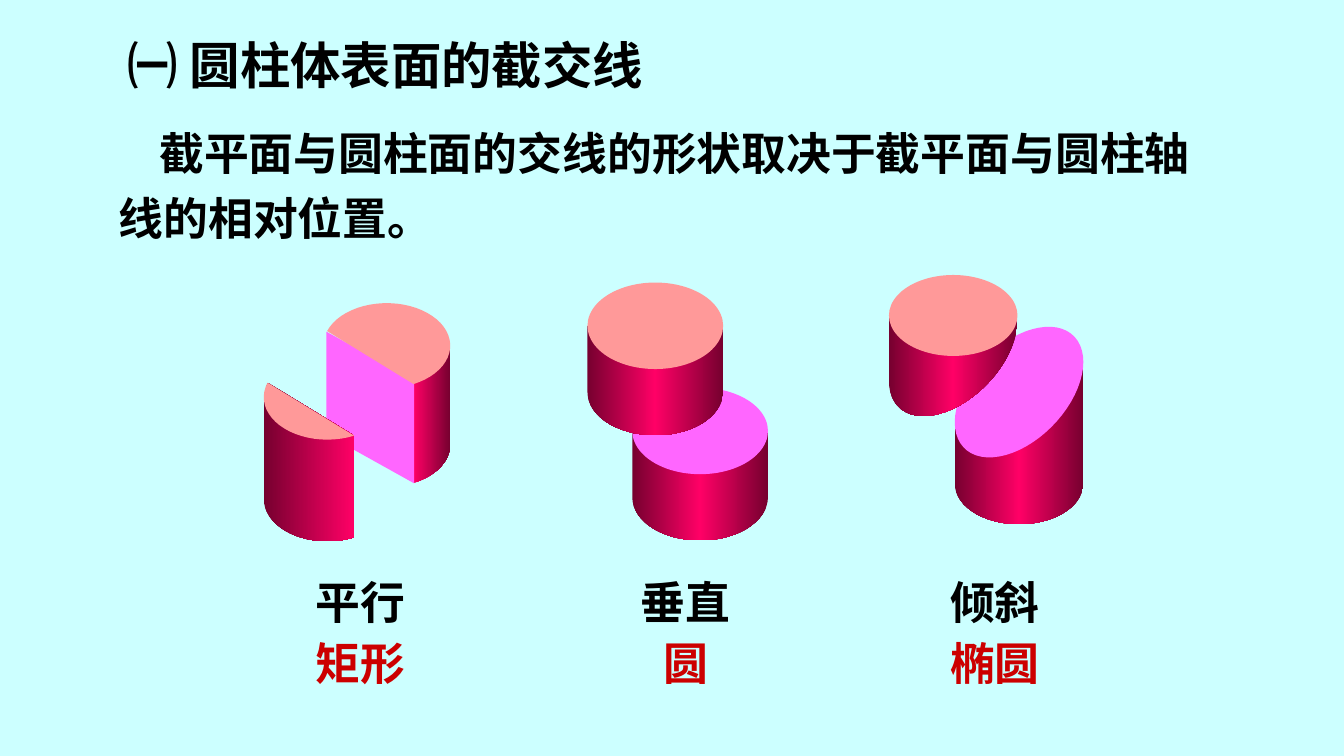
from math import cos, radians, sin
from lxml.etree import SubElement
from pptx import Presentation
from pptx.dml.color import RGBColor
from pptx.enum.shapes import MSO_SHAPE
from pptx.enum.text import MSO_ANCHOR, MSO_AUTO_SIZE, PP_ALIGN
from pptx.oxml.ns import qn
from pptx.util import Cm, Pt

FONT = "Noto Sans CJK SC"
BLACK, RED = "000000", "CC0000"
DARK, BRIGHT = "76002F", "FF0066"
TOP, CUT = "FF9999", "FF66FF"
ROUND = (DARK, BRIGHT, DARK)


def color(value):
    return RGBColor.from_string(value)


def place(sp, left, top, width, height):
    sp.left, sp.top, sp.width, sp.height = Cm(left), Cm(top), Cm(width), Cm(height)


def write(sp, text, size, hex_color, align=PP_ALIGN.LEFT, wrap=False):
    tf = sp.text_frame
    tf.text = text
    tf.word_wrap = wrap
    tf.auto_size = MSO_AUTO_SIZE.NONE
    tf.vertical_anchor = MSO_ANCHOR.TOP
    p = tf.paragraphs[0]
    p.alignment = align
    p.space_before = Pt(0)
    r = p.runs[0]
    r.font.size, r.font.bold, r.font.name = Pt(size), True, FONT
    r.font.color.rgb = color(hex_color)
    SubElement(r.font._element, qn("a:ea")).set("typeface", FONT)
    return p


def add_label(shapes, text, center, top, hex_color):
    sp = shapes.add_textbox(Cm(center - 1.39), Cm(top), Cm(2.78), Cm(1.63))
    write(sp, text, 32, hex_color, PP_ALIGN.CENTER)


def paint(sp, *colors):
    sp.shadow.inherit = False
    sp.line.fill.background()
    if len(colors) == 1:
        sp.fill.solid()
        sp.fill.fore_color.rgb = color(colors[0])
        return
    sp.fill.gradient()
    sp.fill.gradient_angle = 0
    stops = sp._element.spPr.find(qn("a:gradFill")).find(qn("a:gsLst"))
    stops.clear()
    for i, value in enumerate(colors):
        gs = SubElement(stops, qn("a:gs"), pos=str(100000 * i // (len(colors) - 1)))
        SubElement(gs, qn("a:srgbClr"), val=value)


def arc(cx, cy, rx, ry, start, end, tilt=0):
    steps = max(8, abs(end - start) // 6)
    angles = [radians(start + (end - start) * i / steps) for i in range(steps + 1)]
    return [(cx + rx * cos(a), cy + ry * sin(a) + tilt * cos(a)) for a in angles]


def add_outline(shapes, points, *colors):
    points = [(Cm(x), Cm(y)) for x, y in points]
    builder = shapes.build_freeform(*points[0])
    builder.add_line_segments(points[1:], close=True)
    paint(builder.convert_to_shape(), *colors)


def add_ellipse(shapes, cx, cy, rx, ry, hex_color):
    sp = shapes.add_shape(MSO_SHAPE.OVAL, Cm(cx - rx), Cm(cy - ry), Cm(2 * rx), Cm(2 * ry))
    paint(sp, hex_color)


def add_parallel_cut(shapes):
    rx, ry, left_cut, right_cut = 1.6, 1.07, 200, 65
    cx, cy = 9.75, 8.71
    side = arc(cx, 11.2, rx, ry, 0, right_cut)
    add_outline(shapes, [(cx + rx, cy)] + side + [(10.43, 9.47)], BRIGHT, DARK)
    add_outline(shapes, [(8.23, 8.36), (8.23, 10.95), (10.44, 12.18), (10.44, 9.58)], CUT)
    add_outline(shapes, arc(cx, cy, rx, ry, left_cut, 360 + right_cut), TOP)
    cx, cy = 8.25, 10.01
    edge = arc(cx, cy, rx, ry, left_cut, right_cut)
    side = arc(cx, 12.57, rx, ry, 180, right_cut)
    add_outline(shapes, [edge[0], (cx - rx, cy)] + side + [edge[-1]], DARK, BRIGHT)
    add_outline(shapes, edge, TOP)


def add_perpendicular_cut(shapes):
    rx, ry, depth = 1.71, 1.09, 1.67
    for cx, cy, face in ((17.65, 10.86, CUT), (16.52, 8.21, TOP)):
        side = arc(cx, cy + depth, rx, ry, 180, 0)
        add_outline(shapes, [(cx - rx, cy)] + side + [(cx + rx, cy)], *ROUND)
        add_ellipse(shapes, cx, cy, rx, ry, face)


def add_oblique_cut(shapes):
    rx, ry, cut_ry, tilt = 1.62, 1.02, 1.46, -0.76
    cx, cy = 25.69, 9.88
    side = arc(cx, 12.19, rx, ry, 180, 0)
    add_outline(shapes, [(cx - rx, cy - tilt)] + side + [(cx + rx, cy + tilt)], *ROUND)
    add_outline(shapes, arc(cx, cy, rx, cut_ry, 0, 360, tilt), CUT)
    cx, cy = 24.03, 7.95
    side = arc(cx, 8.84, rx, cut_ry, 180, 0, tilt)
    add_outline(shapes, [(cx - rx, cy)] + side + [(cx + rx, cy)], *ROUND)
    add_ellipse(shapes, cx, cy, rx, ry, TOP)


def main():
    prs = Presentation()
    prs.slide_width, prs.slide_height = Cm(33.88), Cm(19.05)
    s = prs.slides.add_slide(prs.slide_layouts[1])
    s.background.fill.solid()
    s.background.fill.fore_color.rgb = color("CCFFFF")

    title, body = s.placeholders
    place(title, 2.97, 0.74, 13.54, 1.78)
    write(title, "㈠ 圆柱体表面的截交线", 36, BLACK)
    place(body, 2.74, 2.77, 28.4, 3.51)
    p = write(body, "截平面与圆柱面的交线的形状取决于截平面与圆柱轴线的相对位置。", 32, BLACK, wrap=True)
    pPr = p._p.get_or_add_pPr()
    pPr.set("marL", "0")
    pPr.set("indent", str(Cm(1.02)))
    SubElement(pPr, qn("a:buNone"))
    p.line_spacing = 1.2

    cases = (
        (add_parallel_cut, 9.08, "平行", "矩形"),
        (add_perpendicular_cut, 17.28, "垂直", "圆"),
        (add_oblique_cut, 25.08, "倾斜", "椭圆"),
    )
    for draw, center, position, section in cases:
        draw(s.shapes.add_group_shape().shapes)
        add_label(s.shapes, position, center, 14.35, BLACK)
        add_label(s.shapes, section, center, 15.9, RED)
    prs.save("out.pptx")


if __name__ == "__main__":
    main()
